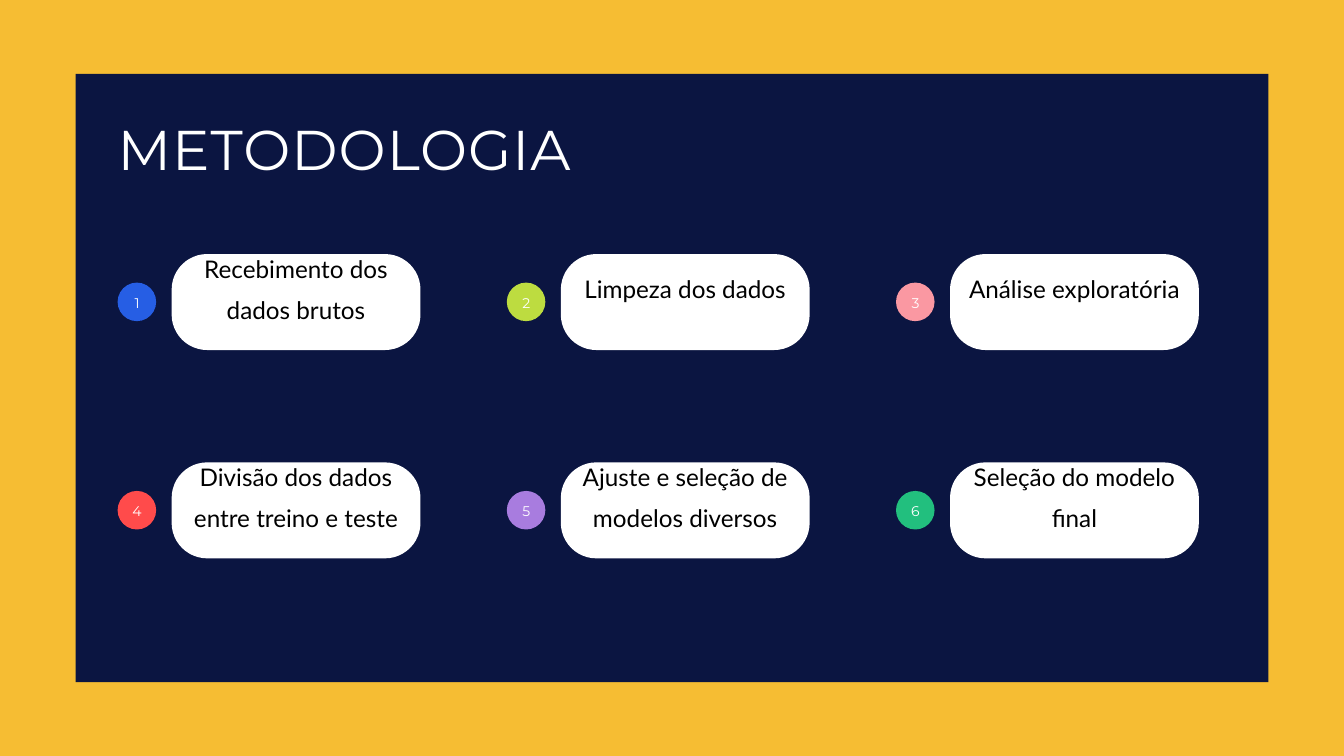
"""Build the METODOLOGIA slide: six numbered steps on a dark panel."""
from typing import NamedTuple

from pptx import Presentation
from pptx import util as u
from pptx.dml import color
from pptx.enum import shapes, text

GOLD = color.RGBColor(0xF6, 0xBD, 0x33)
NAVY = color.RGBColor(0x0B, 0x15, 0x41)
WHITE = color.RGBColor(0xFF, 0xFF, 0xFF)
BLACK = color.RGBColor(0x00, 0x00, 0x00)
BLUE = color.RGBColor(0x26, 0x5E, 0xE4)
LIME = color.RGBColor(0xBD, 0xDC, 0x40)
PINK = color.RGBColor(0xFA, 0x98, 0xA2)
RED = color.RGBColor(0xFF, 0x4B, 0x4B)
PURPLE = color.RGBColor(0xA8, 0x7C, 0xDF)
GREEN = color.RGBColor(0x22, 0xBF, 0x7E)

COLS = 3
STEP_X, STEP_Y = 417, 223.2


class Box(NamedTuple):
    left: float
    top: float
    width: float
    height: float

    def move(self, x: float, y: float) -> "Box":
        return self._replace(left=self.left + x, top=self.top + y)

    def points(self) -> list[u.Pt]:
        return [u.Pt(side) for side in self]


class Style(NamedTuple):
    font: str
    size: float
    lead: float
    ink: color.RGBColor
    inset: float = 4
    align: text.PP_ALIGN = text.PP_ALIGN.CENTER
    anchor: text.MSO_ANCHOR = text.MSO_ANCHOR.MIDDLE


class Step(NamedTuple):
    label: str
    tint: color.RGBColor


PANEL = Box(81, 79.2, 1278, 651.6)
TITLE = Box(126, 128.2, 1019.5, 67.7)
CARD = Box(183.9, 272.2, 266.6, 102.8)
LABEL = Box(183.9, 231.8, 266.6, 143.2)
DISC = Box(126, 302.8, 41.3, 41.3)
DIGIT = Box(130, 305.3, 33.8, 35.3)

HEAD = Style("Montserrat", 60, 66, WHITE, 0,
             text.PP_ALIGN.LEFT, text.MSO_ANCHOR.TOP)
BODY = Style("Lato", 26, 44.2, BLACK)
COUNT = Style("Montserrat", 15, 21, WHITE)

STEPS = [
    Step("Recebimento dos dados brutos", BLUE),
    Step("Limpeza dos dados", LIME),
    Step("Análise exploratória", PINK),
    Step("Divisão dos dados entre treino e teste", RED),
    Step("Ajuste e seleção de modelos diversos", PURPLE),
    Step("Seleção do modelo final", GREEN),
]


def draw(slide, kind: shapes.MSO_SHAPE, box: Box, tint: color.RGBColor):
    shape = slide.shapes.add_shape(kind, *box.points())
    shape.shadow.inherit = False
    shape.fill.solid()
    shape.fill.fore_color.rgb = tint
    shape.line.fill.background()
    return shape


def write(slide, words: str, box: Box, style: Style):
    frame = slide.shapes.add_textbox(*box.points()).text_frame
    frame.word_wrap = True
    frame.vertical_anchor = style.anchor
    frame.margin_left = frame.margin_right = u.Pt(style.inset)
    frame.margin_top = frame.margin_bottom = u.Pt(style.inset)
    frame.text = words
    para = frame.paragraphs[0]
    para.alignment = style.align
    para.line_spacing = u.Pt(style.lead)
    font = para.runs[0].font
    font.name = style.font
    font.size = u.Pt(style.size)
    font.color.rgb = style.ink
    return frame


def place(slide, index: int, step: Step) -> None:
    row, col = divmod(index, COLS)
    shift = col * STEP_X, row * STEP_Y
    card = draw(slide, shapes.MSO_SHAPE.ROUNDED_RECTANGLE,
                CARD.move(*shift), WHITE)
    card.adjustments[0] = 0.37
    write(slide, step.label, LABEL.move(*shift), BODY)
    draw(slide, shapes.MSO_SHAPE.OVAL, DISC.move(*shift), step.tint)
    write(slide, str(index + 1), DIGIT.move(*shift), COUNT)


def main() -> None:
    deck = Presentation()
    deck.slide_width, deck.slide_height = u.Pt(1440), u.Pt(810)
    slide = deck.slides.add_slide(deck.slide_layouts[6])
    slide.background.fill.solid()
    slide.background.fill.fore_color.rgb = GOLD
    draw(slide, shapes.MSO_SHAPE.RECTANGLE, PANEL, NAVY)
    title = write(slide, "METODOLOGIA", TITLE, HEAD)
    title.auto_size = text.MSO_AUTO_SIZE.SHAPE_TO_FIT_TEXT
    title.paragraphs[0].runs[0].font._element.set("spc", "120")
    for index, step in enumerate(STEPS):
        place(slide, index, step)
    deck.save("out.pptx")


if __name__ == "__main__":
    main()
